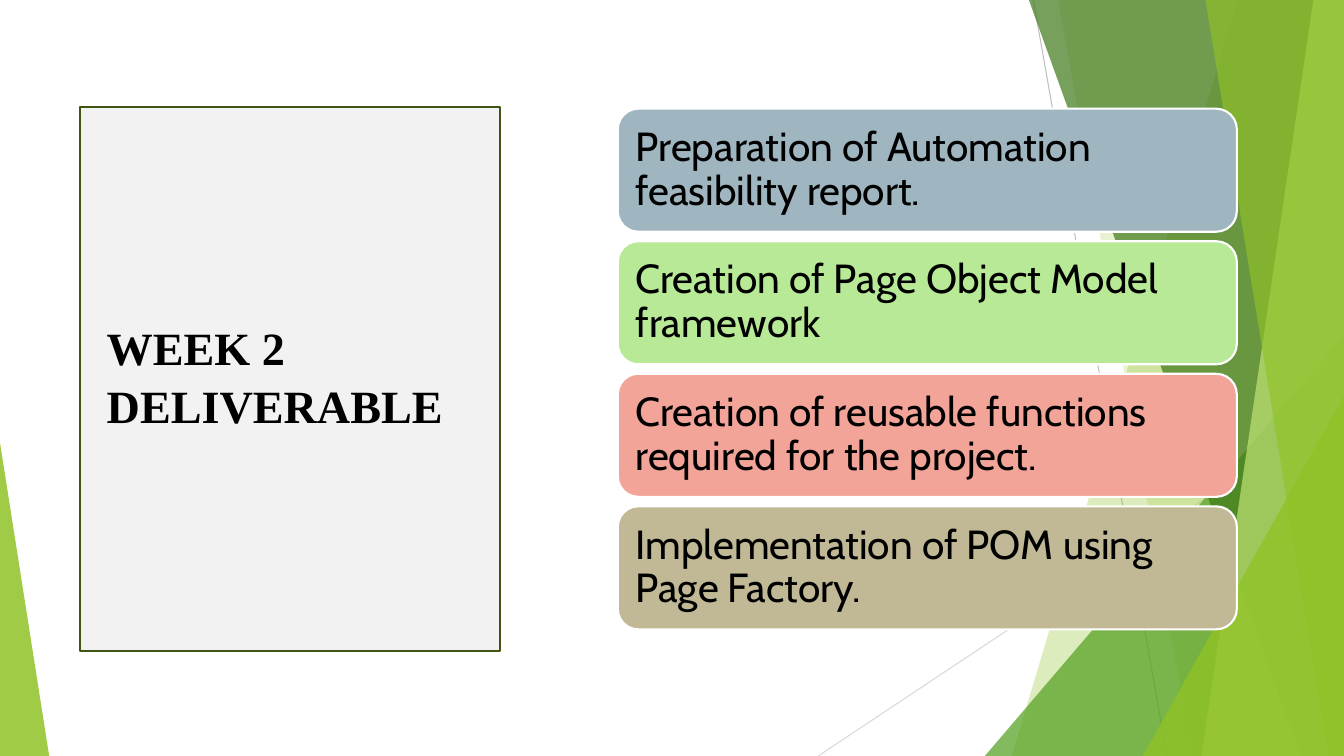
from typing import NamedTuple

from lxml.etree import SubElement
from pptx import Presentation
from pptx.dml.color import RGBColor
from pptx.enum.shapes import MSO_CONNECTOR, MSO_SHAPE
from pptx.enum.text import MSO_ANCHOR, PP_ALIGN
from pptx.oxml.ns import qn
from pptx.util import Cm, Pt

WIDTH, HEIGHT = 33.87, 19.05

BLACK = RGBColor(0x00, 0x00, 0x00)
WHITE = RGBColor(0xFF, 0xFF, 0xFF)
PANEL_GRAY = RGBColor(0xF2, 0xF2, 0xF2)
PANEL_EDGE = RGBColor(0x3F, 0x55, 0x11)
LINE_GRAY = RGBColor(0xBF, 0xBF, 0xBF)
LINE_LIGHT = RGBColor(0xD9, 0xD9, 0xD9)
LIME = RGBColor(0x90, 0xC2, 0x26)
GREEN = RGBColor(0x54, 0xA0, 0x21)
DARK_GREEN = RGBColor(0x3F, 0x78, 0x19)
PALE_LIME = RGBColor(0xC0, 0xE4, 0x74)
BLUE_GRAY = RGBColor(0x9F, 0xB6, 0xC0)
MINT = RGBColor(0xB7, 0xE9, 0x96)
SALMON = RGBColor(0xF2, 0xA4, 0x99)
SAND = RGBColor(0xC1, 0xB9, 0x95)


class Ray(NamedTuple):
    x1: float
    y1: float
    x2: float
    y2: float
    color: RGBColor


class Band(NamedTuple):
    """Full-height facet from a slanted left edge to the slide's right edge."""
    top_x: float
    bottom_x: float
    color: RGBColor
    opacity: int


class Wedge(NamedTuple):
    """Triangle standing on the slide's bottom edge; apex 0 is left, 1 right."""
    left: float
    top: float
    width: float
    apex: float
    color: RGBColor
    opacity: int


class Card(NamedTuple):
    text: str
    color: RGBColor


RAYS = [
    Ray(26.04, 0, 29.41, HEIGHT, LINE_GRAY),
    Ray(WIDTH, 10.24, 20.62, HEIGHT, LINE_LIGHT),
]
FACETS = [
    Band(31.19, 25.5, LIME, 30),
    Band(26.67, 30.05, LIME, 20),
    Wedge(24.82, 8.46, 9.05, 1, GREEN, 72),
    Band(25.93, 32.79, DARK_GREEN, 70),
    Band(33.1, 30.28, PALE_LIME, 70),
    Band(30.38, 33.48, LIME, 65),
    Wedge(28.8, 9.98, 5.07, 1, LIME, 80),
    Wedge(0, 11.15, 1.24, 0, LIME, 85),
]
CARDS = [
    Card("Preparation of Automation feasibility report.", BLUE_GRAY),
    Card("Creation of Page Object Model framework", MINT),
    Card("Creation of reusable functions required for the project.", SALMON),
    Card("Implementation of POM using Page Factory.", SAND),
]
CARD_LEFT, CARD_TOP, CARD_WIDTH, CARD_HEIGHT = 15.57, 2.74, 15.6, 3.1
CARD_PITCH = 3.34
CARD_INSET = 0.3


def paint(sp, fill: RGBColor, edge: RGBColor | None = None) -> None:
    sp.shadow.inherit = False
    sp.fill.solid()
    sp.fill.fore_color.rgb = fill
    if edge is None:
        sp.line.fill.background()
    else:
        sp.line.color.rgb = edge
        sp.line.width = Pt(1.5)


def set_opacity(sp, percent: int) -> None:
    color = sp.fill._xPr.find(qn("a:solidFill"))[0]
    SubElement(color, qn("a:alpha")).set("val", str(percent * 1000))


def write(sp, text: str, font: str, size: float, spacing: float, bold: bool = False) -> None:
    tf = sp.text_frame
    tf.word_wrap = True
    tf.vertical_anchor = MSO_ANCHOR.MIDDLE
    p = tf.paragraphs[0]
    p.text = text
    p.alignment = PP_ALIGN.LEFT
    p.line_spacing = spacing
    p.font.name = font
    p.font.size = Pt(size)
    p.font.bold = bold
    p.font.color.rgb = BLACK


def add_ray(shapes, ray: Ray) -> None:
    line = shapes.add_connector(
        MSO_CONNECTOR.STRAIGHT, Cm(ray.x1), Cm(ray.y1), Cm(ray.x2), Cm(ray.y2))
    line.line.color.rgb = ray.color
    line.line.width = Pt(0.75)
    SubElement(line._element.spPr, qn("a:effectLst"))


def add_facet(shapes, facet: Band | Wedge) -> None:
    if isinstance(facet, Band):
        builder = shapes.build_freeform(Cm(facet.top_x), 0)
        corners = [(WIDTH, 0), (WIDTH, HEIGHT), (facet.bottom_x, HEIGHT)]
        builder.add_line_segments([(Cm(x), Cm(y)) for x, y in corners], close=True)
        sp = builder.convert_to_shape()
    else:
        sp = shapes.add_shape(
            MSO_SHAPE.ISOSCELES_TRIANGLE, Cm(facet.left), Cm(facet.top),
            Cm(facet.width), Cm(HEIGHT - facet.top))
        sp.adjustments[0] = facet.apex
    paint(sp, facet.color)
    set_opacity(sp, facet.opacity)


def add_card(shapes, card: Card, top: float) -> None:
    sp = shapes.add_shape(
        MSO_SHAPE.ROUNDED_RECTANGLE, Cm(CARD_LEFT), Cm(top), Cm(CARD_WIDTH), Cm(CARD_HEIGHT))
    paint(sp, card.color, WHITE)
    write(sp, card.text, "Cabin", 29, 0.9)
    tf = sp.text_frame
    tf.margin_left = tf.margin_right = tf.margin_top = tf.margin_bottom = Cm(CARD_INSET)


def main() -> None:
    prs = Presentation()
    prs.slide_width, prs.slide_height = Cm(WIDTH), Cm(HEIGHT)
    shapes = prs.slides.add_slide(prs.slide_layouts[6]).shapes

    # Faceted background
    for ray in RAYS:
        add_ray(shapes, ray)
    for facet in FACETS:
        add_facet(shapes, facet)

    # Title panel
    panel = shapes.add_shape(MSO_SHAPE.RECTANGLE, Cm(2.01), Cm(2.69), Cm(10.59), Cm(13.72))
    paint(panel, PANEL_GRAY, PANEL_EDGE)
    title = shapes.add_textbox(Cm(2.44), Cm(2.95), Cm(9.73), Cm(12.98))
    write(title, "WEEK 2 DELIVERABLE", "Times New Roman", 33, 1.05, bold=True)

    # Deliverable cards
    for i, card in enumerate(CARDS):
        add_card(shapes, card, CARD_TOP + i * CARD_PITCH)

    prs.save("out.pptx")


if __name__ == "__main__":
    main()
